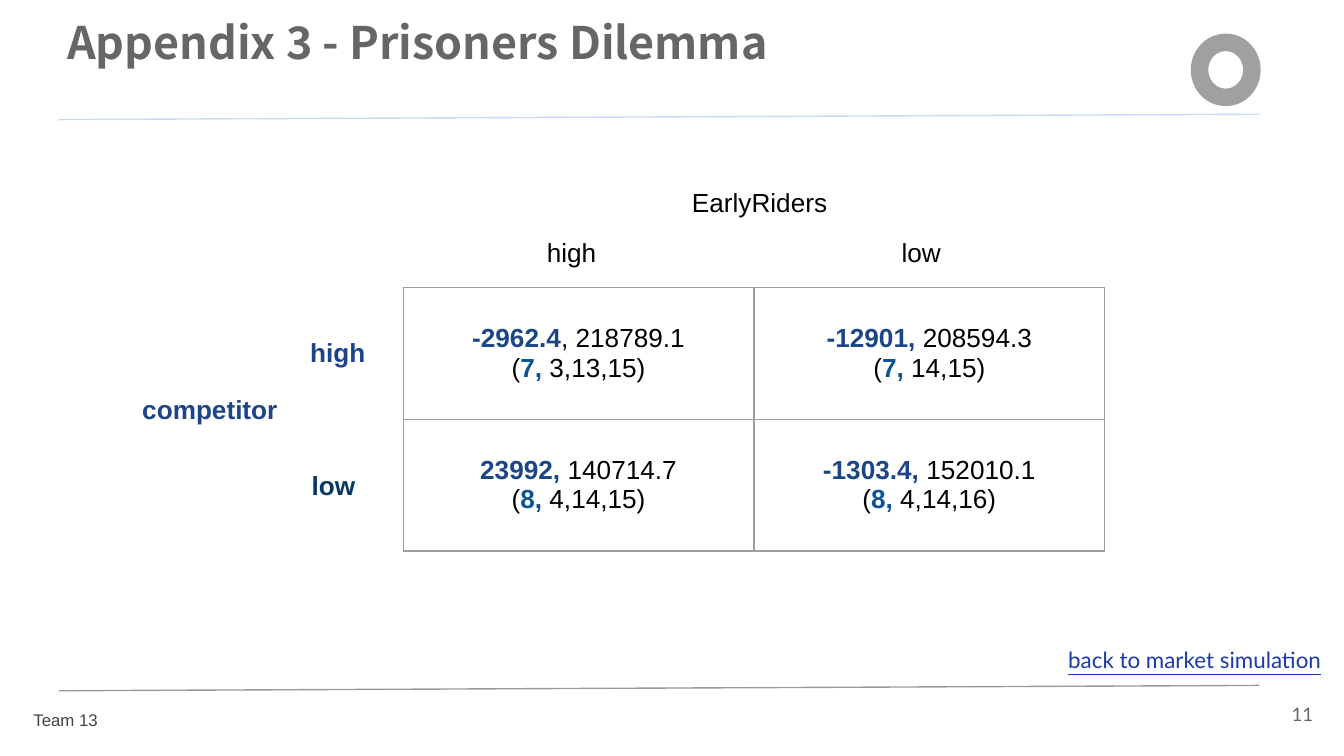
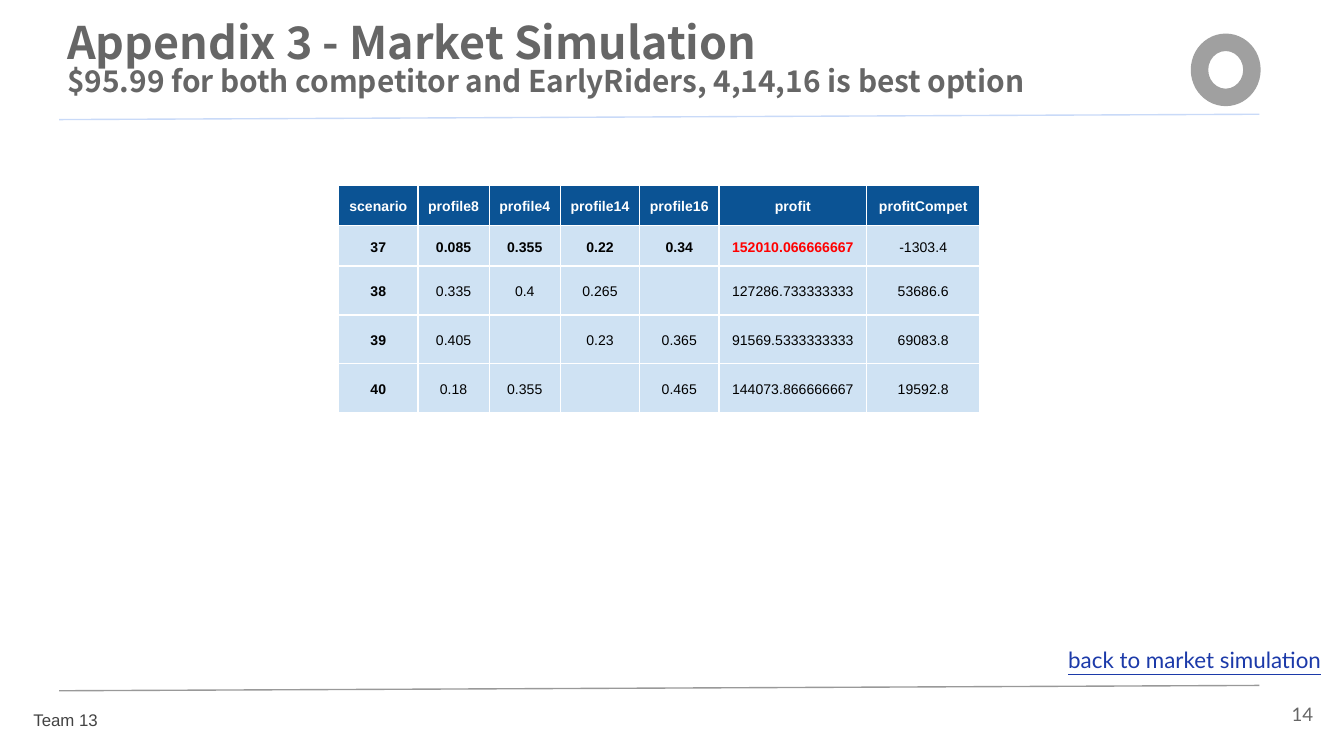
"""Build two appendix slides: a payoff matrix and a market simulation table."""
import pptx
import pptx.util
import pptx.dml.color
import pptx.enum.shapes
import pptx.enum.text
import pptx.oxml
import pptx.oxml.ns
from lxml import etree

Inches = pptx.util.Inches
Pt = pptx.util.Pt
ALIGN = pptx.enum.text.PP_ALIGN
MIDDLE = pptx.enum.text.MSO_ANCHOR.MIDDLE

BODY, LIGHT, HEAD = "Arial", "Lato", "Noto Sans CJK SC"
GREY, BLACK, WHITE = "666666", "000000", "FFFFFF"
NAVY, BLUE, DEEP = "1C4587", "0B5394", "073763"
PALE, RED, LINK = "CFE2F3", "FF0000", "1C3AA9"
FOOT, RULE, SKY, EDGE, RING = "434343", "999999", "C9DAF8", "9E9E9E", "A0A0A0"

DUEL = {
    "page": "11",
    "title": [("Appendix 3 - Prisoners Dilemma", 24)],
    "labels": [
        ("high", 2.21, 2.4, 0.79, NAVY, True),
        ("high", 3.97, 1.66, 0.6, BLACK, False),
        ("low", 6.61, 1.66, 0.6, BLACK, False),
        ("low", 2.22, 3.39, 0.6, DEEP, True),
        ("competitor", 0.96, 2.83, 1.25, NAVY, True),
        ("EarlyRiders", 5.05, 1.29, 1.25, BLACK, False),
    ],
    "cells": [
        [("-2962.4", ", 218789.1", "7, ", "3,13,15)"),
         ("-12901, ", "208594.3", "7, ", "14,15)")],
        [("23992, ", "140714.7", "8, ", "4,14,15)"),
         ("-1303.4, ", "152010.1", "8, ", "4,14,16)")],
    ],
}

MARKET = {
    "page": "14",
    "title": [
        ("Appendix 3 - Market Simulation", 24),
        ("$95.99 for both competitor and EarlyRiders, 4,14,16 is best option", 16),
    ],
    "cols": [0.59, 0.53, 0.53, 0.59, 0.59, 1.1, 0.84],
    "cells": [
        ["scenario", "profile8", "profile4", "profile14", "profile16", "profit", "profitCompet"],
        ["37", "0.085", "0.355", "0.22", "0.34", "152010.066666667", "-1303.4"],
        ["38", "0.335", "0.4", "0.265", "", "127286.733333333", "53686.6"],
        ["39", "0.405", "", "0.23", "0.365", "91569.5333333333", "69083.8"],
        ["40", "0.18", "0.355", "", "0.465", "144073.866666667", "19592.8"],
    ],
}


def rgb(code):
    return pptx.dml.color.RGBColor.from_string(code)


def style(run, size, face, color, bold=False):
    font = run.font
    font.size, font.name, font.bold = Pt(size), face, bold
    font.color.rgb = rgb(color)


def inset(part, gap):
    part.margin_left = part.margin_right = Inches(gap)
    part.margin_top = part.margin_bottom = Inches(gap)


def label(slide, text, box, size, face, color, bold=False, gap=0.1):
    frame = slide.shapes.add_textbox(*map(Inches, box)).text_frame
    frame.word_wrap = True
    inset(frame, gap)
    frame.text = text
    for par in frame.paragraphs:
        style(par.runs[0], size, face, color, bold)
    return frame


def rule(slide, left, right, color):
    line = slide.shapes.add_connector(
        pptx.enum.shapes.MSO_CONNECTOR.STRAIGHT, *map(Inches, left + right))
    line.line.color.rgb = rgb(color)
    line.line.width = Pt(0.75)
    etree.SubElement(line._element.spPr, pptx.oxml.ns.qn("a:effectLst"))


def begin(deck, data):
    slide = deck.slides.add_slide(deck.slide_layouts[6])
    page = label(slide, data["page"], (9.27, 5.1, 0.6, 0.43), 10, LIGHT, GREY)
    page.vertical_anchor = MIDDLE
    page.paragraphs[0].alignment = ALIGN.RIGHT
    team = label(slide, "Team 13", (0.15, 5.18, 0.69, 0.27), 9, BODY, FOOT)
    team.margin_bottom = 0
    for top, color in ((0.89, SKY), (5.14, RULE)):
        rule(slide, (0.44, top), (9.37, top - 0.04), color)

    lines = data["title"]
    title = label(slide, "\n".join(text for text, size in lines),
                  (0.5, 0.17, 9, 0.34), 24, HEAD, GREY, True, 0)
    for par, (text, size) in zip(title.paragraphs, lines):
        par.line_spacing = 0.85
        par.runs[0].font.size = Pt(size)

    ring = slide.shapes.add_shape(
        pptx.enum.shapes.MSO_SHAPE.DONUT, *map(Inches, (8.86, 0.25, 0.52, 0.54)))
    ring.shadow.inherit = False
    ring.adjustments[0] = 0.25
    ring.fill.solid()
    ring.fill.fore_color.rgb = rgb(RING)
    ring.line.fill.background()

    return slide


def back(slide):
    link = label(slide, "back to market simulation", (7.85, 4.71, 2.46, 0.43), 12, LIGHT, LINK)
    link.paragraphs[0].runs[0].font.underline = True


def border(cell, color):
    props = cell._tc.get_or_add_tcPr()
    for side in "LRTB":
        props.append(pptx.oxml.parse_xml(
            f'<a:ln{side} {pptx.oxml.ns.nsdecls("a")} w="{Pt(0.75)}"><a:solidFill>'
            f'<a:srgbClr val="{color}"/></a:solidFill></a:ln{side}>'))


def grid(slide, left, top, cols, rows, edge, gap):
    table = slide.shapes.add_table(
        len(rows), len(cols), *map(Inches, (left, top, sum(cols), sum(rows)))).table
    table.first_row = table.horz_banding = False
    for col, width in zip(table.columns, cols):
        col.width = Inches(width)
    for row, height in zip(table.rows, rows):
        row.height = Inches(height)
    for cell in table.iter_cells():
        border(cell, edge)
        cell.fill.background()
        inset(cell, gap)
        cell.vertical_anchor = MIDDLE
    return table


def duel(deck):
    slide = begin(deck, DUEL)
    table = grid(slide, 3, 2.14, [2.61] * 2, [0.98] * 2, EDGE, 0.1)
    for r, row in enumerate(DUEL["cells"]):
        for c, (rival, own, first, rest) in enumerate(row):
            frame = table.cell(r, c).text_frame
            lines = (
                [(rival, NAVY, True), (own, BLACK, False)],
                [("(", BLACK, False), (first, BLUE, True), (rest, BLACK, False)],
            )
            for par, runs in zip((frame.paragraphs[0], frame.add_paragraph()), lines):
                par.alignment = ALIGN.CENTER
                for text, color, bold in runs:
                    run = par.add_run()
                    run.text = text
                    style(run, 14, BODY, color, bold)
    for text, left, top, width, color, bold in DUEL["labels"]:
        label(slide, text, (left, top, width, 0.43), 14, BODY, color, bold)
    back(slide)


def market(deck):
    slide = begin(deck, MARKET)
    cells = MARKET["cells"]
    table = grid(slide, 2.52, 1.38, MARKET["cols"], [0.3] * len(cells), WHITE, 0.04)
    for r, row in enumerate(cells):
        for c, text in enumerate(row):
            cell = table.cell(r, c)
            cell.fill.solid()
            cell.fill.fore_color.rgb = rgb(PALE if r else BLUE)
            par = cell.text_frame.paragraphs[0]
            if not text:
                etree.SubElement(par._p, pptx.oxml.ns.qn("a:endParaRPr"), sz="1700")
                continue
            par.text = text
            par.alignment = ALIGN.CENTER
            par.line_spacing = 1.15
            best = r == 1 and c < 6
            color = WHITE if r == 0 else RED if best and c == 5 else BLACK
            style(par.runs[0], 7.5, BODY, color, r == 0 or c == 0 or best)
    back(slide)


def main():
    deck = pptx.Presentation()
    deck.slide_width = Inches(10)
    deck.slide_height = deck.slide_width * 9 // 16
    duel(deck)
    market(deck)
    deck.save("out.pptx")


if __name__ == "__main__":
    main()
